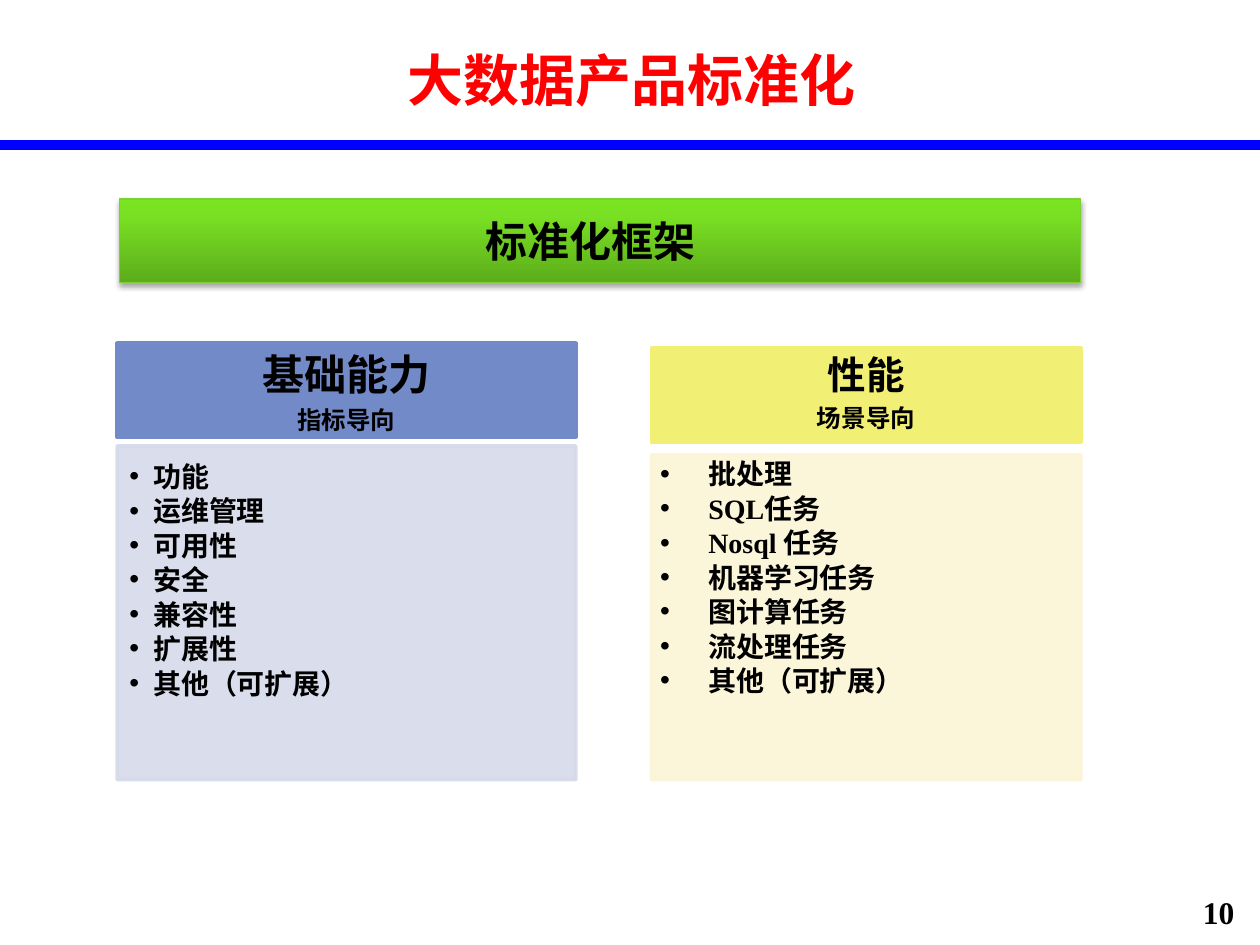
from lxml import etree
from pptx import Presentation
from pptx.dml.color import RGBColor
from pptx.enum.shapes import MSO_CONNECTOR, MSO_SHAPE
from pptx.enum.text import MSO_ANCHOR, PP_ALIGN
from pptx.oxml import parse_xml
from pptx.oxml.ns import nsdecls, qn
from pptx.util import Cm, Pt

RECTANGLE = MSO_SHAPE.RECTANGLE
STRAIGHT = MSO_CONNECTOR.STRAIGHT
MIDDLE = MSO_ANCHOR.MIDDLE
CENTER = PP_ALIGN.CENTER
SERIF, SANS, CJK = "Times New Roman", "Arial", "Noto Sans CJK SC"

COLORS = {
    "text": "000000", "title": "FF0000", "rule": "0000FF",
    "banner_line": "7CD036", "banner_dark": "5DAD1B",
    "banner_mid": "79E023", "banner_light": "79E520",
    "ability": "738AC8", "ability_body": "D5DAEB",
    "performance": "F2EF75", "performance_body": "FBF4D6",
}


def write(frame, lines, font, sizes, color="text", align=None):
    """Fill a text frame with one bold paragraph for each line."""
    frame.word_wrap = True
    frame.text = "\n".join(lines)
    for paragraph, size in zip(frame.paragraphs, sizes):
        paragraph.alignment = align
        run = paragraph.runs[0]
        run.font.size = Pt(size)
        run.font.bold = True
        run.font.name = font
        run.font.color.rgb = RGBColor.from_string(COLORS[color])
        etree.SubElement(run.font._element, qn("a:ea"), typeface=CJK)


def add_panel(box, color, opacity=100):
    panel = slide.shapes.add_shape(RECTANGLE, *map(Cm, box))
    panel.shadow.inherit = False
    panel.line.width = Pt(2)
    for fill in (panel.fill, panel.line.fill):
        fill.solid()
        fill.fore_color.rgb = RGBColor.from_string(COLORS[color])
    if opacity < 100:
        for rgb in panel._element.spPr.iter(qn("a:srgbClr")):
            etree.SubElement(rgb, qn("a:alpha"), val=str(opacity * 1000))


prs = Presentation()
prs.slide_width, prs.slide_height = Cm(25.4), Cm(19.05)
slide = prs.slides.add_slide(prs.slide_layouts[6])

# Title, rule and page number
rule = slide.shapes.add_connector(STRAIGHT, 0, Cm(2.92), Cm(25.4), Cm(2.92))
rule.line.color.rgb = RGBColor.from_string(COLORS["rule"])
rule.line.width = Pt(6)
etree.SubElement(rule._element.spPr, qn("a:effectLst"))

page_number = slide.shapes.add_textbox(Cm(24), Cm(17.88), Cm(1.4), Cm(0.91))
write(page_number.text_frame, ["10"], SERIF, [18])

title = slide.shapes.add_textbox(Cm(1.3), 0, Cm(22.86), Cm(3.18))
title.text_frame.vertical_anchor = MIDDLE
write(title.text_frame, ["大数据产品标准化"], CJK, [32], "title", CENTER)

# Framework banner
banner = slide.shapes.add_shape(RECTANGLE, Cm(2.41), Cm(4.01), Cm(19.38), Cm(1.68))
banner.line.color.rgb = RGBColor.from_string(COLORS["banner_line"])
banner.line.width = Pt(0.75)
stops = "".join(
    f'<a:gs pos="{percent * 1000}"><a:srgbClr val="{COLORS[name]}"/></a:gs>'
    for percent, name in [(0, "banner_dark"), (80, "banner_mid"), (100, "banner_light")]
)
gradient = parse_xml(
    f'<a:gradFill {nsdecls("a")} rotWithShape="1"><a:gsLst>{stops}</a:gsLst>'
    '<a:lin ang="16200000" scaled="0"/></a:gradFill>'
)
shadow = parse_xml(
    f'<a:effectLst {nsdecls("a")}>'
    f'<a:outerShdw blurRad="{Pt(3.1)}" dist="{Pt(1.8)}" dir="5400000" rotWithShape="0">'
    f'<a:srgbClr val="{COLORS["text"]}"><a:alpha val="35000"/></a:srgbClr>'
    '</a:outerShdw></a:effectLst>'
)
banner._element.spPr.find(qn("a:prstGeom")).addnext(gradient)
banner._element.spPr.append(shadow)
banner.text_frame.vertical_anchor = MIDDLE
banner.text_frame.margin_right = Cm(0.66)
write(banner.text_frame, ["标准化框架"], SERIF, [24], align=CENTER)

# Two columns: header with subtitle above a bulleted body; boxes in cm
columns = [
    {
        "color": "ability", "heading": ["基础能力", "指标导向"], "heading_size": 24,
        "header": (2.36, 6.91, 9.25, 1.9), "header_text": (2.36, 7.01, 9.25, 1.9),
        "body": (2.36, 8.99, 9.25, 6.73), "body_text": (2.36, 8.99, 8.03, 7.34),
        "font": CJK, "indent": 0.48,
        "items": ["功能", "运维管理", "可用性", "安全", "兼容性", "扩展性",
                  "其他（可扩展）"],
    },
    {
        "color": "performance", "heading": ["性能", "场景导向"], "heading_size": 22,
        "header": (13.13, 7.01, 8.66, 1.9), "header_text": (13.13, 7.01, 8.66, 1.9),
        "body": (13.13, 9.17, 8.66, 6.55), "body_text": (13.06, 8.94, 9.04, 6.76),
        "font": SERIF, "indent": 0.97,
        "items": ["批处理", "SQL任务", "Nosql 任务", "机器学习任务", "图计算任务",
                  "流处理任务", "其他（可扩展）"],
    },
]

for column in columns:
    add_panel(column["header"], column["color"])
    heading = slide.shapes.add_textbox(*map(Cm, column["header_text"])).text_frame
    heading.vertical_anchor = MIDDLE
    heading.margin_top = heading.margin_bottom = 0
    write(heading, column["heading"], SANS, [column["heading_size"], 14], align=CENTER)
    for paragraph in heading.paragraphs:
        paragraph.line_spacing = 0.9
    heading.paragraphs[0].space_after = Pt(4.9)

    add_panel(column["body"], column["color"] + "_body", opacity=90)
    body = slide.shapes.add_textbox(*map(Cm, column["body_text"])).text_frame
    body.margin_top, body.margin_right, body.margin_bottom = Cm(0.25), Cm(0.36), Cm(0.41)
    write(body, column["items"], column["font"], [16] * len(column["items"]))
    indent = Cm(column["indent"])
    for paragraph in body.paragraphs:
        paragraph.line_spacing = Pt(19.7)
        properties = paragraph._p.get_or_add_pPr()
        properties.set("marL", str(indent))
        properties.set("indent", str(-indent))
        etree.SubElement(properties, qn("a:buFont"), typeface=SANS)
        etree.SubElement(properties, qn("a:buChar"), char="•")

prs.save("out.pptx")
